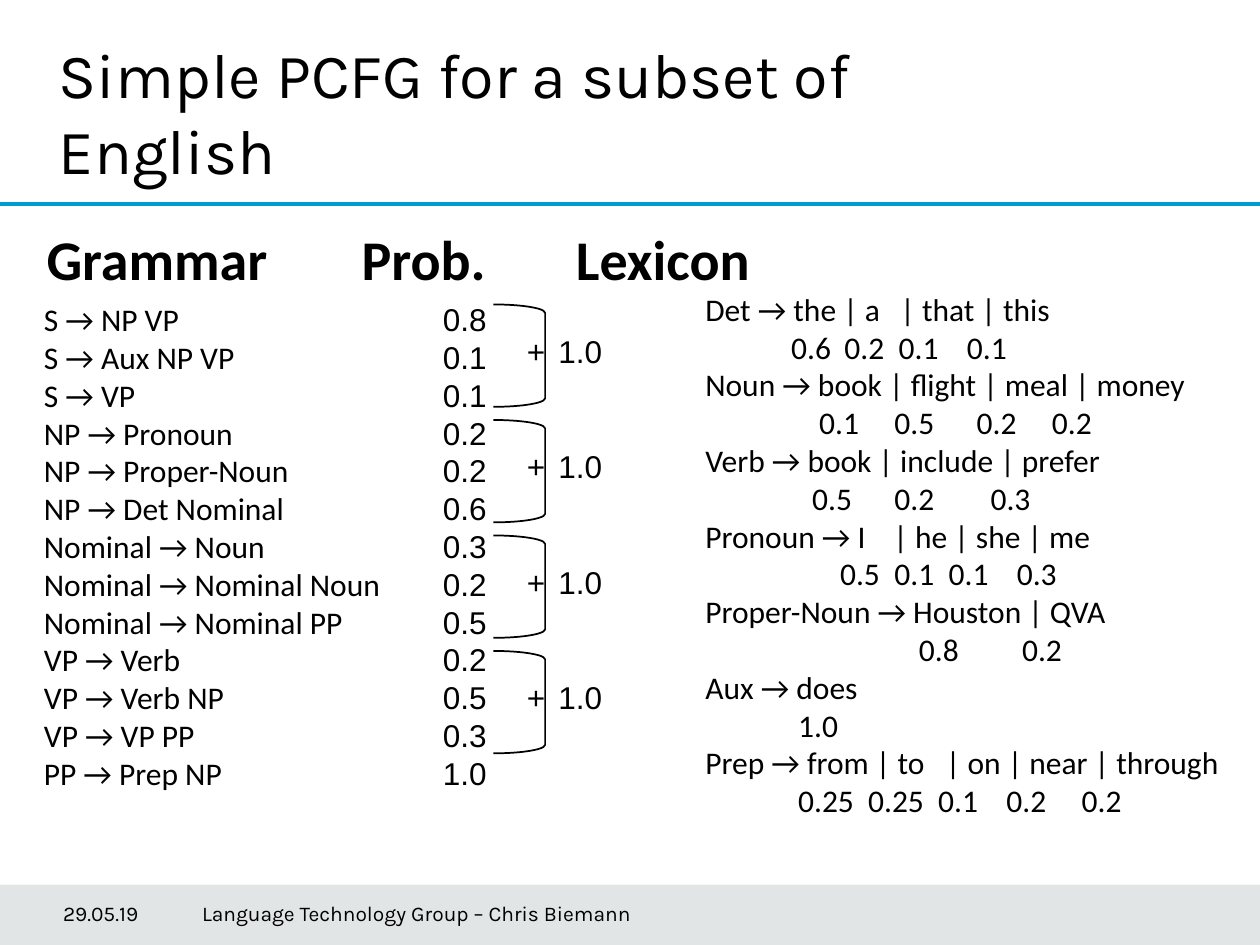
from lxml.etree import SubElement
from pptx import Presentation
from pptx.dml.color import RGBColor
from pptx.enum.shapes import MSO_CONNECTOR, MSO_SHAPE
from pptx.enum.text import MSO_ANCHOR
from pptx.oxml.ns import qn
from pptx.util import Pt

COLORS = {"text": "000000", "rule": "009CD1", "footer": "3B515B"}
FORMATS = {
    "title": {"name": "Karla", "size": Pt(36)},
    "heading": {"name": "Calibri", "size": Pt(32), "bold": True},
    "rule": {"name": "Calibri", "size": Pt(18)},
    "number": {"name": "Arial", "size": Pt(18)},
    "footer": {"name": "Karla", "size": Pt(12)},
}
GRAMMAR = [
    ("S → NP VP", "0.8"),
    ("S → Aux NP VP", "0.1"),
    ("S → VP", "0.1"),
    ("NP → Pronoun", "0.2"),
    ("NP → Proper-Noun", "0.2"),
    ("NP → Det Nominal", "0.6"),
    ("Nominal → Noun", "0.3"),
    ("Nominal → Nominal Noun", "0.2"),
    ("Nominal → Nominal PP", "0.5"),
    ("VP → Verb", "0.2"),
    ("VP → Verb NP", "0.5"),
    ("VP → VP PP", "0.3"),
    ("PP → Prep NP", "1.0"),
]
LEXICON = [
    ("Det → the | a\t| that | this", [111.5]),
    ("\t0.6\t0.2\t0.1\t0.1", [49, 79.5, 110.5, 149.5]),
    ("Noun → book | flight | meal | money", []),
    ("\t0.1\t0.5\t0.2\t0.2", [65, 108, 155, 198]),
    ("Verb → book | include | prefer", []),
    ("\t0.5\t0.2\t0.3", [61, 108, 163]),
    ("Pronoun → I\t| he | she | me", [107.5]),
    ("\t0.5\t0.1\t0.1\t0.3", [77, 108, 139, 178]),
    ("Proper-Noun → Houston | QVA", []),
    ("\t0.8\t0.2", [122, 181]),
    ("Aux → does", []),
    ("\t1.0", [53]),
    ("Prep → from | to\t| on | near | through", [137.5]),
    ("\t0.25\t0.25\t0.1\t0.2\t0.2", [53, 93, 133, 172, 215]),
]


def rgb(name):
    return RGBColor.from_string(COLORS[name])


def set_tabs(p, stops):
    tabs = SubElement(p._p.get_or_add_pPr(), qn("a:tabLst"))
    for stop in stops:
        SubElement(tabs, qn("a:tab"), pos=str(Pt(stop)), algn="l")


def add_text(s, box, lines, style, **frame):
    tf = s.shapes.add_textbox(*map(Pt, box)).text_frame
    for key, value in {"word_wrap": True, **frame}.items():
        setattr(tf, key, value)
    for i, (text, stops) in enumerate(lines):
        p = tf.add_paragraph() if i else tf.paragraphs[0]
        if stops:
            set_tabs(p, stops)
        r = p.add_run()
        r.text = text
        for key, value in FORMATS[style].items():
            setattr(r.font, key, value)
        r.font.color.rgb = rgb("text")


def add_header(s, x, y, w, h):
    add_text(s, (x + 26.5, y + 17, 541, 66),
             [("Simple PCFG for a subset of English", [])], "title")
    sp = s.shapes.add_connector(MSO_CONNECTOR.STRAIGHT,
                                Pt(x), Pt(y + h), Pt(x + w), Pt(y + h))
    sp.line.color.rgb = rgb("rule")
    sp.line.width = Pt(2)
    SubElement(sp._element.spPr, qn("a:effectLst"))


def add_sum(s, x, y, w, h):
    sp = s.shapes.add_shape(MSO_SHAPE.RIGHT_BRACKET, Pt(x), Pt(y), Pt(w), Pt(h))
    sp.shadow.inherit = False
    sp.adjustments[0] = 0.164
    sp.fill.background()
    sp.line.color.rgb = rgb("text")
    sp.line.width = Pt(1)
    add_text(s, (x + 12, y + 12, 30, 29), [("+", [])], "number")
    add_text(s, (x + 30, y + 12, 42, 29), [("1.0", [])], "number")


def add_grammar(s, x, y, w, h):
    add_text(s, (x, y, w - 42, h), [(rule, []) for rule, _ in GRAMMAR], "rule")
    add_text(s, (x + w - 42, y, 42, h), [(prob, []) for _, prob in GRAMMAR], "number")
    for i in range(4):
        add_sum(s, x + w - 6, y + 6 + 66 * i, 29.5, 58.5)


def add_lexicon(s, x, y, w, h):
    add_text(s, (x, y, w, h), LEXICON, "rule")


def add_footer(s, x, y, w, h):
    sp = s.shapes.add_shape(MSO_SHAPE.RECTANGLE, Pt(x), Pt(y), Pt(w), Pt(h))
    sp.shadow.inherit = False
    sp.fill.solid()
    sp.fill.fore_color.rgb = rgb("footer")
    color = sp._element.spPr.find(qn("a:solidFill"))[0]
    SubElement(color, qn("a:alpha"), val="15000")
    sp.line.fill.background()
    entries = [(36, 71, "29.05.19"),
               (115.5, 354, "Language Technology Group – Chris Biemann")]
    for left, width, text in entries:
        add_text(s, (x + left, y + 2, width, 29), [(text, [])], "footer",
                 margin_left=0, vertical_anchor=MSO_ANCHOR.MIDDLE)


def main():
    prs = Presentation()
    prs.slide_width, prs.slide_height = Pt(720), Pt(540)
    s = prs.slides.add_slide(prs.slide_layouts[6])
    add_footer(s, 0, 505.5, 720, 34.5)
    add_header(s, 0, 0, 720, 116.5)
    add_text(s, (19.5, 125, 680, 46), [("Grammar\tProb.\tLexicon", [180, 302.5])], "heading")
    add_grammar(s, 18, 168, 270, 291)
    add_lexicon(s, 396, 162, 360, 312)
    prs.save("out.pptx")


if __name__ == "__main__":
    main()
